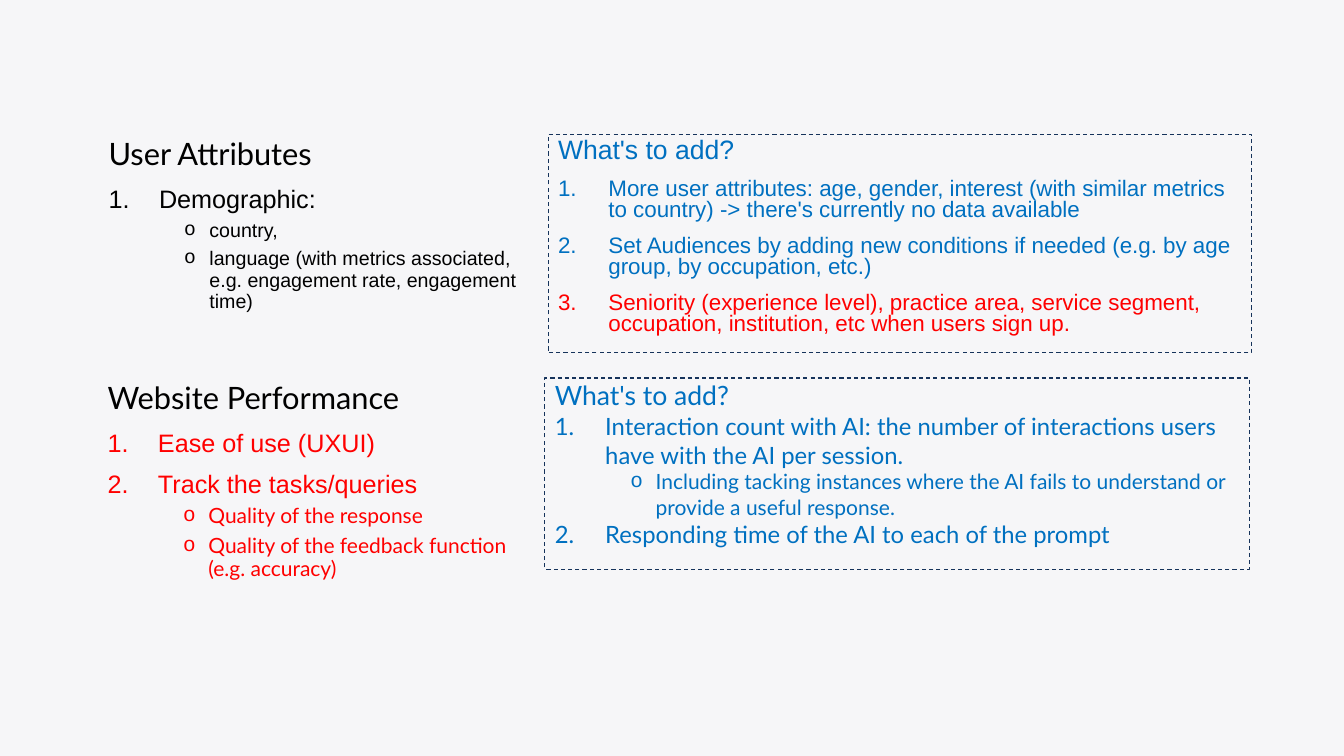
import pptx
import pptx.dml.color
import pptx.enum.dml
import pptx.enum.shapes
import pptx.enum.text
import pptx.oxml
import pptx.oxml.ns
import pptx.util

BLACK, BLUE, RED, NAVY = "000000", "0070C0", "FF0000", "16335B"
SANS, DISPLAY = "Arial", "Lato"


def color(hex_value):
    return pptx.dml.color.RGBColor.from_string(hex_value)


def px(length):
    return pptx.util.Emu(length * 9525)


class SlideBuilder:
    """Holds the paragraph styles and the current slide."""

    # left margin and first-line indent in px, marker tag, marker font
    LEVELS = {
        "number": (48, -48, '<a:buAutoNum %s type="arabicPeriod"/>', "+mj-lt"),
        "bullet": (96, -24, '<a:buChar %s char="o"/>', "Courier New"),
    }

    def __init__(self, presentation, background):
        self.slide = presentation.slides.add_slide(presentation.slide_layouts[6])
        self.slide.background.fill.solid()
        self.slide.background.fill.fore_color.rgb = color(background)

    def text_box(self, left, top, width, height, lines):
        shape = self.slide.shapes.add_textbox(px(left), px(top), px(width), px(height))
        self.fill_text(shape, lines)

    def dashed_box(self, left, top, width, height, lines):
        shape = self.slide.shapes.add_shape(
            pptx.enum.shapes.MSO_SHAPE.RECTANGLE,
            px(left), px(top), px(width), px(height))
        shape.shadow.inherit = False
        shape.fill.background()
        shape.line.color.rgb = color(NAVY)
        shape.line.width = pptx.util.Pt(0.75)
        shape.line.dash_style = pptx.enum.dml.MSO_LINE.DASH
        self.fill_text(shape, lines)

    def fill_text(self, shape, lines):
        frame = shape.text_frame
        frame.word_wrap = True
        frame.vertical_anchor = pptx.enum.text.MSO_ANCHOR.TOP
        frame.text = "\n".join(line[1] for line in lines)
        for paragraph, line in zip(frame.paragraphs, lines):
            kind, _, size, font, hex_value, spacing, before = line
            paragraph.alignment = pptx.enum.text.PP_ALIGN.LEFT
            paragraph.line_spacing = spacing
            paragraph.space_before = pptx.util.Pt(before)
            for run in paragraph.runs:
                run.font.size = pptx.util.Pt(size)
                run.font.name = font
                run.font.color.rgb = color(hex_value)
            if kind in self.LEVELS:
                self.mark(paragraph, kind)

    def mark(self, paragraph, kind):
        margin, indent, marker, font = self.LEVELS[kind]
        paragraph.level = 1 if kind == "bullet" else 0
        properties = paragraph._p.get_or_add_pPr()
        properties.set("marL", str(px(margin)))
        properties.set("indent", str(px(indent)))
        namespace = pptx.oxml.ns.nsdecls("a")
        for tag in (f'<a:buFont {namespace} typeface="{font}"/>', marker % namespace):
            properties.append(pptx.oxml.parse_xml(tag))


def main():
    presentation = pptx.Presentation()
    presentation.slide_width, presentation.slide_height = px(1280), px(720)
    builder = SlideBuilder(presentation, "F6F6F8")

    # User attributes: current state and additions
    builder.text_box(94, 128, 429, 181, [
        ("heading", "User Attributes", 22, DISPLAY, BLACK, 0.9, 10),
        ("number", "Demographic:", 18, SANS, BLACK, 0.9, 10),
        ("bullet", "country,", 14, SANS, BLACK, 0.9, 5),
        ("bullet", "language (with metrics associated, e.g. engagement rate, "
                   "engagement time)", 14, SANS, BLACK, 0.9, 5),
    ])
    builder.dashed_box(522, 128, 670, 208, [
        ("heading", "What's to add?", 19, SANS, BLUE, 0.8, 10),
        ("number", "More user attributes: age, gender, interest (with similar metrics "
                   "to country) -> there's currently no data available",
         16, SANS, BLUE, 0.8, 10),
        ("number", "Set Audiences by adding new conditions if needed (e.g. by age "
                   "group, by occupation, etc.)", 16, SANS, BLUE, 0.8, 10),
        ("number", "Seniority (experience level), practice area, service "
                   "segment, occupation, institution, etc when users sign up.",
         16, SANS, RED, 0.8, 10),
    ])

    # Website performance: current state and additions
    builder.text_box(93, 360, 426, 211, [
        ("heading", "Website Performance", 22, DISPLAY, BLACK, 0.9, 10),
        ("number", "Ease of use (UXUI)", 18, SANS, RED, 0.9, 10),
        ("number", "Track the tasks/queries", 18, SANS, RED, 0.9, 10),
        ("bullet", "Quality of the response", 15, DISPLAY, RED, 0.9, 5),
        ("bullet", "Quality of the feedback function (e.g. accuracy)",
         15, DISPLAY, RED, 0.9, 5),
    ])
    builder.dashed_box(519, 360, 671, 182, [
        ("heading", "What's to add?", 19, DISPLAY, BLUE, 0.9, 10),
        ("number", "Interaction count with AI: the number of interactions users "
                   "have with the AI per session.", 17, DISPLAY, BLUE, 1.0, 0),
        ("bullet", "Including tacking instances where the AI fails to understand or "
                   "provide a useful response.", 15, DISPLAY, BLUE, 1.0, 0),
        ("number", "Responding time of the AI to each of the prompt",
         17, DISPLAY, BLUE, 1.0, 0),
    ])

    presentation.save("out.pptx")


if __name__ == "__main__":
    main()
